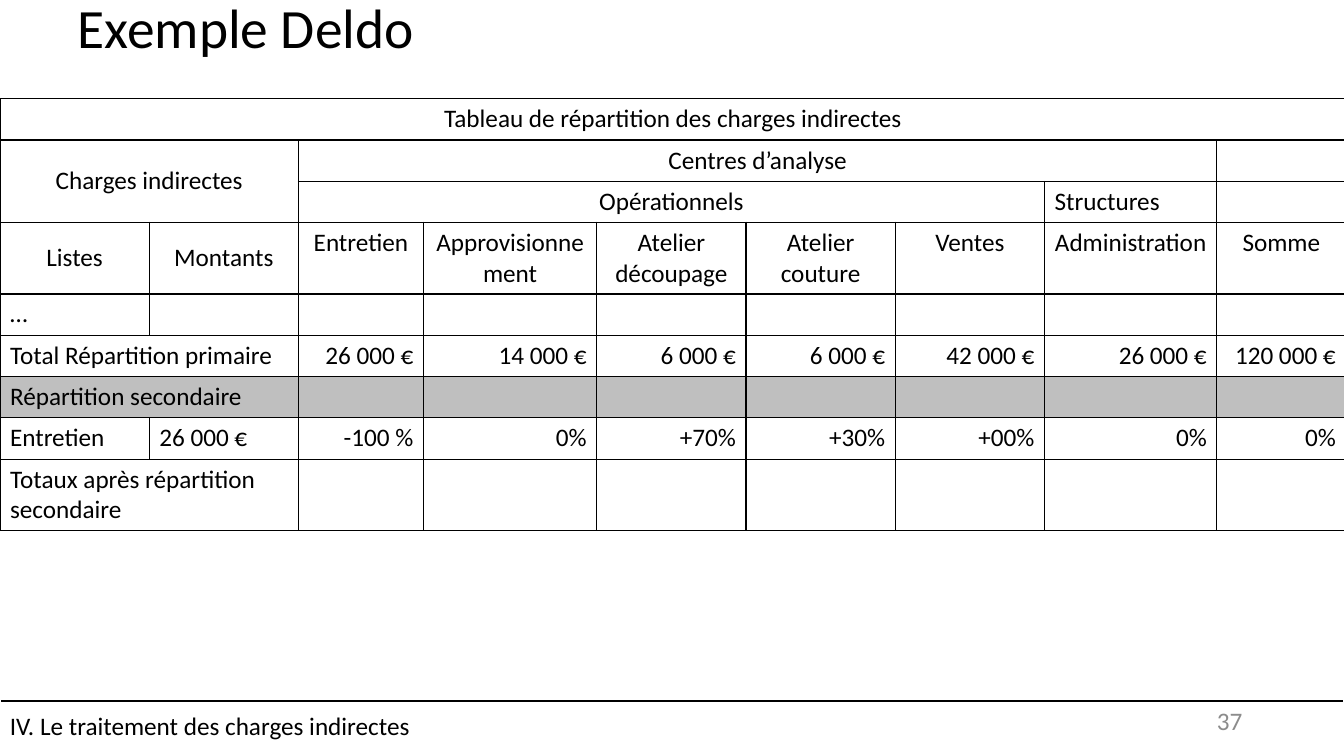
from lxml import etree
from pptx import Presentation
from pptx.dml.color import RGBColor
from pptx.enum.shapes import MSO_CONNECTOR, MSO_SHAPE
from pptx.enum.text import MSO_ANCHOR, MSO_AUTO_SIZE, PP_ALIGN
from pptx.oxml import parse_xml
from pptx.oxml.ns import nsdecls, qn
from pptx.util import Inches, Pt

LEFT, CENTER, RIGHT = PP_ALIGN.LEFT, PP_ALIGN.CENTER, PP_ALIGN.RIGHT
TOP, MIDDLE = MSO_ANCHOR.TOP, MSO_ANCHOR.MIDDLE
STRAIGHT, RECTANGLE = MSO_CONNECTOR.STRAIGHT, MSO_SHAPE.RECTANGLE

THEME = {
    "font": "Calibri", "title": 39.6, "body": 18,
    "ink": "000000", "paper": "FFFFFF", "band": "BFBFBF", "number": "8C8C8C",
}
WIDTH, HEIGHT = 13.33, 7.5
FOOTER_LINE = 6.95


def color(name):
    return RGBColor.from_string(THEME[name])


def write(frame, text, size="body", ink="ink", align=LEFT, spacing=None):
    para = frame.paragraphs[0]
    para.alignment = align
    para.line_spacing = spacing
    span = para.add_run()
    span.text = text
    span.font.name = THEME["font"]
    span.font.size = Pt(THEME[size])
    span.font.color.rgb = color(ink)


deck = Presentation()
deck.slide_width, deck.slide_height = Inches(WIDTH), Inches(HEIGHT)
page = deck.slides.add_slide(deck.slide_layouts[5])

# Footer rule
rule = page.shapes.add_connector(
    STRAIGHT, 0, Inches(FOOTER_LINE), Inches(WIDTH), Inches(FOOTER_LINE))
rule.line.color.rgb = color("ink")
rule.line.width = Pt(1.5)
etree.SubElement(rule._element.spPr, qn("a:effectLst"))

# Title
title = page.shapes.title
title.left, title.top = Inches(0.67), 0
title.width, title.height = Inches(11.5), Inches(0.61)
title.text_frame.auto_size = MSO_AUTO_SIZE.NONE
title.text_frame.vertical_anchor = MIDDLE
write(title.text_frame, "Exemple Deldo", size="title", spacing=0.9)

# Cost allocation table
column_widths = [1.48, 1.48, 1.24, 1.72, 1.48, 1.48, 1.48, 1.71, 1.28]
row_heights = [0.41, 0.41, 0.35, 0.48] + [0.41] * 5
HEADER_ROWS, LABEL_COLUMNS, BAND_ROW = 4, 2, 6
rows = [
    ["Tableau de répartition des charges indirectes"],
    ["Charges indirectes", "", "Centres d’analyse"],
    ["", "", "Opérationnels", "", "", "", "", "Structures"],
    ["Listes", "Montants", "Entretien", "Approvisionnement", "Atelier découpage",
     "Atelier couture", "Ventes", "Administration", "Somme"],
    ["…"],
    ["Total Répartition primaire", "", "26 000 €", "14 000 €", "6 000 €", "6 000 €",
     "42 000 €", "26 000 €", "120 000 €"],
    ["Répartition secondaire"],
    ["Entretien", "26 000 €", "-100 %", "0%", "+70%", "+30%", "+00%", "0%", "0%"],
    ["Totaux après répartition secondaire"],
]
# First row, first column, last row, last column
merges = [(0, 0, 0, 8), (1, 0, 2, 1), (1, 2, 1, 7), (2, 2, 2, 6),
          (5, 0, 5, 1), (6, 0, 6, 1), (8, 0, 8, 1)]

table = page.shapes.add_table(
    len(rows), len(column_widths), 0, Inches(0.98),
    Inches(WIDTH), Inches(sum(row_heights))).table
table.first_row = table.horz_banding = False
for column, width in zip(table.columns, column_widths):
    column.width = Inches(width)
for row, height in zip(table.rows, row_heights):
    row.height = Inches(height)
for first_row, first_column, last_row, last_column in merges:
    table.cell(first_row, first_column).merge(table.cell(last_row, last_column))

for r, texts in enumerate(rows):
    for c in range(len(column_widths)):
        cell = table.cell(r, c)
        properties = cell._tc.get_or_add_tcPr()
        for side in ("lnL", "lnR", "lnT", "lnB"):
            properties.append(parse_xml(
                f'<a:{side} {nsdecls("a")} w="{Pt(1)}"><a:solidFill>'
                f'<a:srgbClr val="{THEME["ink"]}"/></a:solidFill></a:{side}>'))
        if r == BAND_ROW:
            cell.fill.solid()
            cell.fill.fore_color.rgb = color("band")
        else:
            cell.fill.background()
        text = texts[c] if c < len(texts) else ""
        if not text:
            continue
        if r < HEADER_ROWS:
            align = LEFT if text == "Structures" else CENTER
        else:
            align = LEFT if c < LABEL_COLUMNS else RIGHT
        in_label_header = 0 < r < HEADER_ROWS and c < LABEL_COLUMNS
        cell.vertical_anchor = MIDDLE if in_label_header else TOP
        write(cell.text_frame, text, align=align)

# Footer
footer = page.shapes.add_shape(
    RECTANGLE, 0, Inches(6.9), Inches(WIDTH), Inches(HEIGHT - 6.9))
footer.shadow.inherit = False
footer.fill.background()
footer.line.color.rgb = color("paper")
footer.line.width = Pt(1)
footer.text_frame.vertical_anchor = MIDDLE
write(footer.text_frame, "IV. Le traitement des charges indirectes")

number = page.shapes.add_textbox(
    Inches(9.42), Inches(FOOTER_LINE), Inches(3), Inches(0.4))
number.text_frame.word_wrap = True
number.text_frame.vertical_anchor = MIDDLE
write(number.text_frame, "37", ink="number", align=RIGHT)

deck.save("out.pptx")
